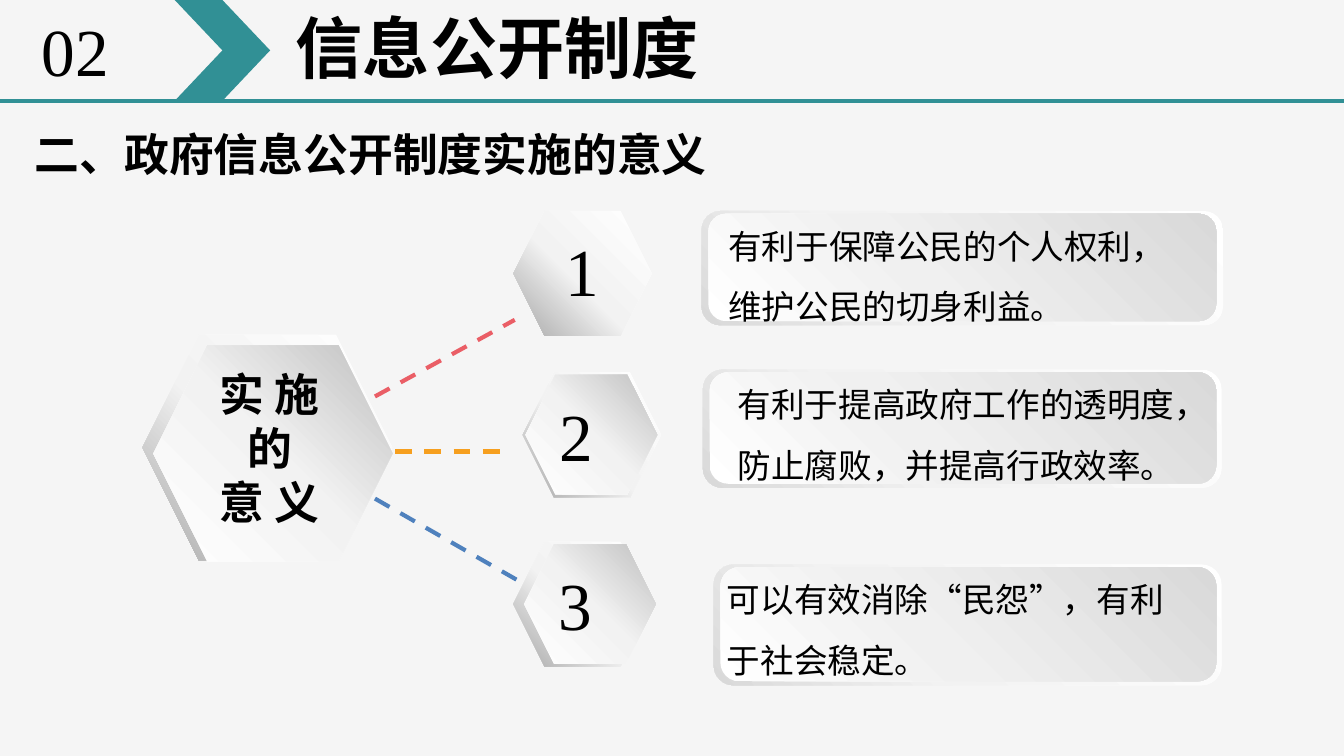
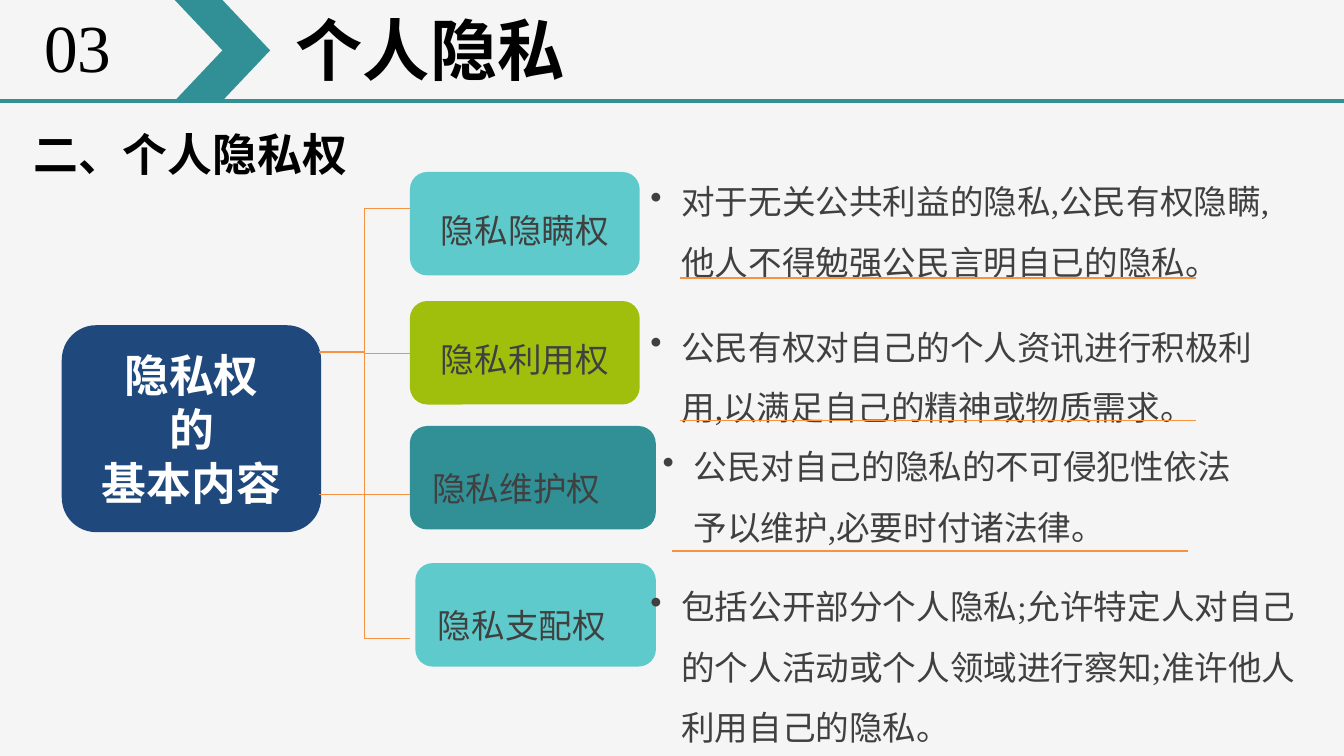
from dataclasses import dataclass
from typing import Optional

from lxml.etree import SubElement
from pptx import Presentation
from pptx.dml.color import RGBColor
from pptx.enum.dml import MSO_LINE_DASH_STYLE as Dash
from pptx.enum.shapes import MSO_CONNECTOR as Connector, MSO_SHAPE as Preset
from pptx.enum.text import MSO_ANCHOR as Anchor, MSO_AUTO_SIZE as AutoSize, PP_ALIGN as Align
from pptx.oxml.ns import qn
from pptx.util import Inches, Pt

SLIDE_WIDTH = Inches(10)
SLIDE_HEIGHT = SLIDE_WIDTH * 9 // 16

FONT = "Times New Roman"
BACKGROUND = RGBColor(0xF5, 0xF5, 0xF5)
TEAL = RGBColor(0x31, 0x90, 0x95)
AQUA = RGBColor(0x5F, 0xCA, 0xCB)
GREEN = RGBColor(0xA0, 0xBF, 0x0D)
NAVY = RGBColor(0x1F, 0x49, 0x7D)
ORANGE = RGBColor(0xF6, 0x92, 0x40)
RED = RGBColor(0xEA, 0x5E, 0x66)
AMBER = RGBColor(0xF6, 0x9F, 0x1E)
BLUE = RGBColor(0x4F, 0x81, 0xBD)
BLACK = RGBColor(0, 0, 0)
CHARCOAL = RGBColor(0x40, 0x40, 0x40)
WHITE = RGBColor(0xFF, 0xFF, 0xFF)
LIGHT = RGBColor(0xF2, 0xF2, 0xF2)
MIDDLE = RGBColor(0xBF, 0xBF, 0xBF)
DARK = RGBColor(0xA6, 0xA6, 0xA6)
PALE = RGBColor(0xD9, 0xD9, 0xD9)
PANEL_LIGHT = RGBColor(0xF0, 0xF0, 0xF0)

Box = tuple[float, float, float, float]
Point = tuple[float, float]


@dataclass(frozen=True)
class TextStyle:
    size: int
    color: RGBColor = BLACK
    bold: bool = False
    align: Align = Align.LEFT
    spacing: Optional[float] = None
    indent: float = 0
    bullet: bool = False


@dataclass(frozen=True)
class Gradient:
    """Stops are percent and colour; the angle runs clockwise in degrees."""
    stops: tuple[tuple[int, RGBColor], ...]
    angle: int


@dataclass(frozen=True)
class Benefit:
    number: str
    outer_hexagon: Box
    inner_hexagon: Optional[Box]
    outer_panel: Box
    inner_panel: Box
    text_box: Box
    lines: tuple[str, ...]
    wrap: bool = True


@dataclass(frozen=True)
class Right:
    name: str
    card: Box
    color: RGBColor
    name_style: TextStyle
    text_box: Box
    description: str


HEADING = TextStyle(24, bold=True)
TITLE = TextStyle(36, bold=True)
NUMBER = TextStyle(36)
HUB = TextStyle(24, bold=True, align=Align.CENTER)
HUB_LIGHT = TextStyle(24, WHITE, bold=True, align=Align.CENTER)
BENEFIT_TEXT = TextStyle(18, spacing=1.5)
CARD_CENTERED = TextStyle(18, CHARCOAL, align=Align.CENTER, spacing=1.3)
CARD_LEFT = TextStyle(18, CHARCOAL, spacing=1.5, indent=0.05)
BULLET_TEXT = TextStyle(18, CHARCOAL, spacing=1.5, indent=0.23, bullet=True)

NORMAL_INSETS = (0.1, 0.05)
TIGHT_INSETS = (0.08, 0.04)

HEXAGON_RIM = Gradient(((0, WHITE), (55, LIGHT), (100, DARK)), 135)
HEXAGON_FACE = Gradient(((0, WHITE), (51, LIGHT), (100, MIDDLE)), 315)
PANEL_RIM = Gradient(((0, WHITE), (62, LIGHT), (100, PALE)), 135)
PANEL_FACE = Gradient(((0, WHITE), (42, PANEL_LIGHT), (100, PALE)), 315)

BENEFITS = (
    Benefit("1", (3.82, 1.57, 1.03, 0.93), None,
            (5.22, 1.57, 3.88, 0.85), (5.27, 1.59, 3.78, 0.8),
            (5.32, 1.48, 3.62, 0.96), ("有利于保障公民的个人权利，维护公民的切身利益。",)),
    Benefit("2", (3.89, 2.77, 1.03, 0.93), (3.91, 2.79, 0.98, 0.89),
            (5.23, 2.75, 3.86, 0.88), (5.28, 2.77, 3.77, 0.83),
            (5.39, 2.66, 3.94, 0.96),
            ("有利于提高政府工作的透明度，", "防止腐败，并提高行政效率。")),
    Benefit("3", (3.82, 4.03, 1.03, 0.93), (3.9, 4.05, 0.98, 0.89),
            (5.31, 4.2, 3.78, 0.9), (5.36, 4.22, 3.69, 0.85),
            (5.31, 4.11, 3.48, 0.96),
            ("可以有效消除“民怨”，有利", "于社会稳定。"), wrap=False),
)
SPOKES = (
    ((2.79, 3.71), (3.89, 4.34), BLUE),
    ((2.94, 3.36), (3.79, 3.36), AMBER),
    ((2.79, 2.95), (3.83, 2.38), RED),
)
RIGHTS = (
    Right("隐私隐瞒权", (3.05, 1.28, 1.71, 0.77), AQUA, CARD_CENTERED,
          (4.76, 1.16, 4.95, 0.93),
          "对于无关公共利益的隐私,公民有权隐瞒,他人不得勉强公民言明自已的隐私。"),
    Right("隐私利用权", (3.05, 2.24, 1.71, 0.77), GREEN, CARD_CENTERED,
          (4.76, 2.24, 4.77, 0.93),
          "公民有权对自己的个人资讯进行积极利用,以满足自己的精神或物质需求。"),
    Right("隐私维护权", (3.05, 3.17, 1.83, 0.77), TEAL, CARD_LEFT,
          (4.85, 3.13, 4.59, 0.93),
          "公民对自己的隐私的不可侵犯性依法予以维护,必要时付诸法律。"),
    Right("隐私支配权", (3.09, 4.19, 1.79, 0.77), AQUA, CARD_LEFT,
          (4.76, 4.17, 5.01, 1.44),
          "包括公开部分个人隐私;允许特定人对自己的个人活动或个人领域进行察知;准许他人利用自己的隐私。"),
)
BRANCHES = ((2.62, 2.63), (2.62, 1.55), (2.62, 3.68), (3.68, 4.75))
UNDERLINES = ((5.06, 2.07), (5.06, 3.13), (5, 4.1))
UNDERLINE_LENGTH = 3.84


def set_attributes(target, values: dict) -> None:
    for name, value in values.items():
        setattr(target, name, value)


def write_text(shape, lines: tuple[str, ...], style: TextStyle, insets: Point = NORMAL_INSETS,
               anchor: Anchor = Anchor.TOP, wrap: bool = True,
               auto_size: AutoSize = AutoSize.NONE) -> None:
    horizontal, vertical = map(Inches, insets)
    frame = shape.text_frame
    set_attributes(frame, {
        "margin_left": horizontal, "margin_right": horizontal,
        "margin_top": vertical, "margin_bottom": vertical,
        "vertical_anchor": anchor, "word_wrap": wrap, "auto_size": auto_size,
    })
    for index, line in enumerate(lines):
        paragraph = frame.add_paragraph() if index else frame.paragraphs[0]
        set_attributes(paragraph, {"alignment": style.align, "line_spacing": style.spacing})
        run = paragraph.add_run()
        run.text = line
        set_attributes(run.font, {"name": FONT, "size": Pt(style.size), "bold": style.bold})
        run.font.color.rgb = style.color
        if style.indent:
            properties = paragraph._p.get_or_add_pPr()
            properties.set("marL", str(Inches(style.indent)))
            if style.bullet:
                properties.set("indent", str(-Inches(style.indent)))
                SubElement(properties, qn("a:buChar"), char="•")


def add_text(slide, box: Box, lines: tuple[str, ...], style: TextStyle,
             insets: Point = NORMAL_INSETS, wrap: bool = True) -> None:
    shape = slide.shapes.add_textbox(*map(Inches, box))
    write_text(shape, lines, style, insets, wrap=wrap, auto_size=AutoSize.SHAPE_TO_FIT_TEXT)


def add_preset(slide, preset: Preset, box: Box, fill: RGBColor | Gradient):
    shape = slide.shapes.add_shape(preset, *map(Inches, box))
    shape.shadow.inherit = False
    shape.line.fill.background()
    if isinstance(fill, Gradient):
        shape.fill.gradient()
        shape.fill.gradient_angle = 360 - fill.angle
        stop_list = shape._element.spPr.find(qn("a:gradFill")).find(qn("a:gsLst"))
        for stop in list(stop_list):
            stop_list.remove(stop)
        for percent, color in fill.stops:
            stop = SubElement(stop_list, qn("a:gs"), pos=str(percent * 1000))
            SubElement(stop, qn("a:srgbClr"), val=str(color))
    else:
        shape.fill.solid()
        shape.fill.fore_color.rgb = fill
    return shape


def add_line(slide, start: Point, end: Point, color: RGBColor, width: float = 0.75,
             kind: Connector = Connector.STRAIGHT, dash: Optional[Dash] = None) -> None:
    connector = slide.shapes.add_connector(kind, *map(Inches, start + end))
    connector.line.color.rgb = color
    set_attributes(connector.line, {"width": Pt(width), "dash_style": dash})
    SubElement(connector._element.spPr, qn("a:effectLst"))


def add_headed_slide(presentation, number: str, number_box: Box, title: str, title_box: Box,
                     heading: str, heading_box: Box, wrap_heading: bool = True):
    """Add a slide with the chapter band, its title and a section heading."""
    slide = presentation.slides.add_slide(presentation.slide_layouts[5])
    title_shape = slide.shapes.title
    set_attributes(title_shape, dict(zip(("left", "top", "width", "height"),
                                         map(Inches, title_box))))
    write_text(title_shape, (title,), TITLE, TIGHT_INSETS)
    add_line(slide, (0, 0.75), (10.01, 0.75), TEAL, 2.25)
    add_preset(slide, Preset.CHEVRON, (1.3, 0, 0.71, 0.75), TEAL)
    add_text(slide, number_box, (number,), NUMBER, TIGHT_INSETS, wrap=False)
    add_text(slide, heading_box, (heading,), HEADING, wrap=wrap_heading)
    return slide


def add_benefit(slide, benefit: Benefit) -> None:
    add_preset(slide, Preset.HEXAGON, benefit.outer_hexagon, HEXAGON_RIM)
    if benefit.inner_hexagon:
        face = add_preset(slide, Preset.HEXAGON, benefit.inner_hexagon, HEXAGON_FACE)
        write_text(face, (benefit.number,), NUMBER, anchor=Anchor.MIDDLE)
    else:
        add_text(slide, (4.11, 1.66, 0.46, 0.71), (benefit.number,), NUMBER, wrap=False)
    add_preset(slide, Preset.ROUNDED_RECTANGLE, benefit.outer_panel, PANEL_RIM)
    add_preset(slide, Preset.ROUNDED_RECTANGLE, benefit.inner_panel, PANEL_FACE)
    add_text(slide, benefit.text_box, benefit.lines, BENEFIT_TEXT, wrap=benefit.wrap)


def add_right(slide, right: Right) -> None:
    card = add_preset(slide, Preset.ROUNDED_RECTANGLE, right.card, right.color)
    write_text(card, (right.name,), right.name_style, TIGHT_INSETS, Anchor.MIDDLE)
    add_text(slide, right.text_box, (right.description,), BULLET_TEXT, TIGHT_INSETS)


def build_disclosure_slide(presentation) -> None:
    slide = add_headed_slide(
        presentation, "02", (0.23, 0.03, 0.67, 0.69), "信息公开制度", (2.12, 0.01, 5.24, 0.69),
        "二、政府信息公开制度实施的意义", (0.16, 0.89, 5.86, 0.5))
    add_preset(slide, Preset.HEXAGON, (1.06, 2.49, 1.86, 1.68), HEXAGON_RIM)
    add_preset(slide, Preset.HEXAGON, (1.14, 2.57, 1.78, 1.61), HEXAGON_FACE)
    add_text(slide, (1.53, 2.68, 0.95, 1.31), ("实 施", "的", "意 义"), HUB, wrap=False)
    for start, end, color in SPOKES:
        add_line(slide, start, end, color, 2.25, dash=Dash.DASH)
    for benefit in BENEFITS:
        add_benefit(slide, benefit)


def build_privacy_slide(presentation) -> None:
    slide = add_headed_slide(
        presentation, "03", (0.25, 0, 0.66, 0.68), "个人隐私", (2.12, 0.02, 3.35, 0.68),
        "二、个人隐私权", (0.15, 0.89, 2.57, 0.5), wrap_heading=False)
    for right in RIGHTS:
        add_right(slide, right)
    hub = add_preset(slide, Preset.ROUNDED_RECTANGLE, (0.46, 2.42, 1.93, 1.54), NAVY)
    write_text(hub, ("隐私权", "的", "基本内容"), HUB_LIGHT, TIGHT_INSETS, Anchor.MIDDLE)
    for start_y, end_y in BRANCHES:
        add_line(slide, (2.37, start_y), (3.05, end_y), ORANGE, kind=Connector.ELBOW)
    for left, top in UNDERLINES:
        add_line(slide, (left, top), (left + UNDERLINE_LENGTH, top), ORANGE)


def main() -> None:
    presentation = Presentation()
    set_attributes(presentation, {"slide_width": SLIDE_WIDTH, "slide_height": SLIDE_HEIGHT})
    background = presentation.slide_master.background.fill
    background.solid()
    background.fore_color.rgb = BACKGROUND
    build_disclosure_slide(presentation)
    build_privacy_slide(presentation)
    presentation.save("out.pptx")


if __name__ == "__main__":
    main()
